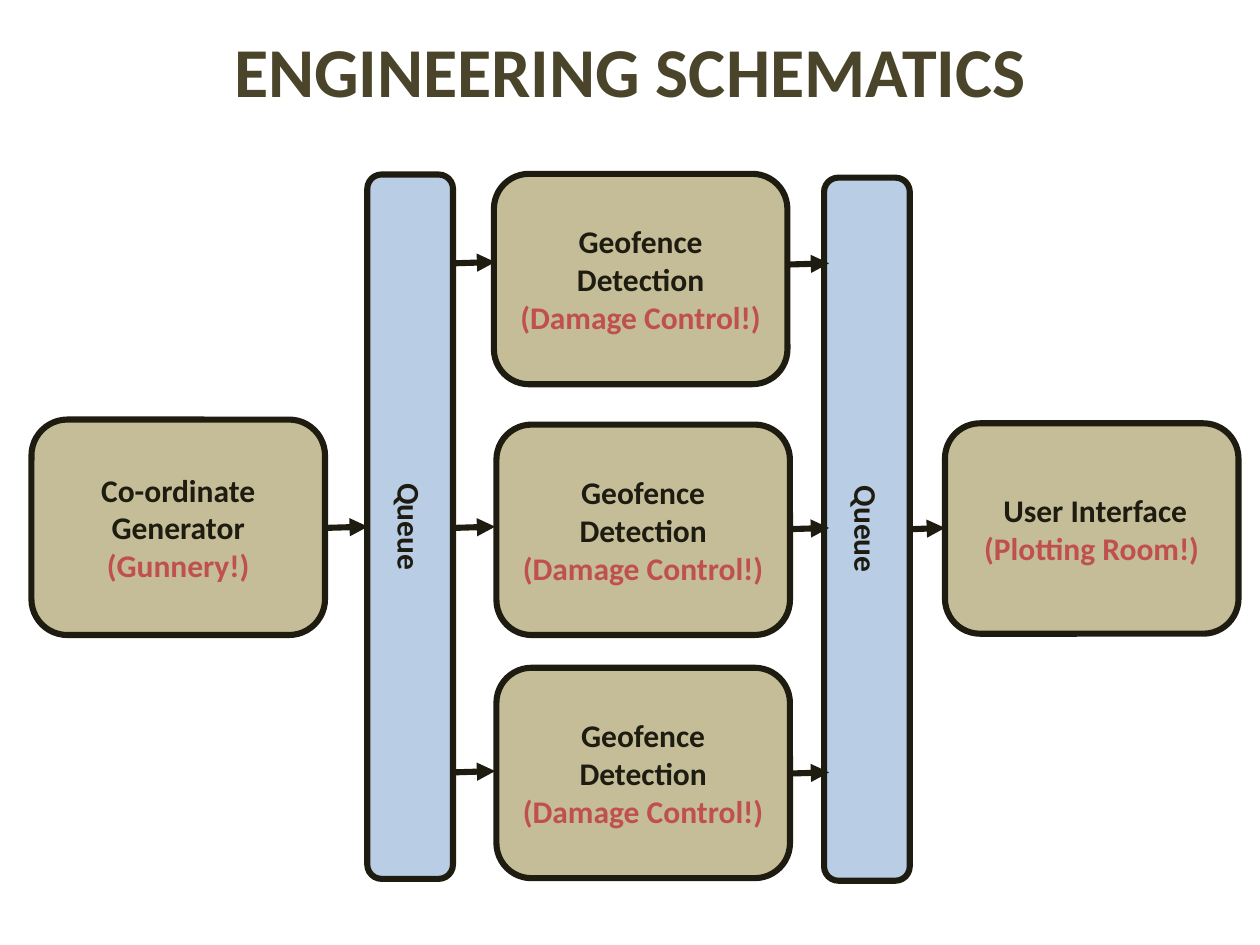
from pptx import Presentation
from pptx.dml.color import RGBColor
from pptx.enum.shapes import MSO_CONNECTOR, MSO_SHAPE
from pptx.enum.text import MSO_ANCHOR, PP_ALIGN
from pptx.oxml.ns import qn
from pptx.util import Inches, Pt
from lxml.etree import SubElement

INK, TITLE, RED = "1E1C11", "4A452A", "C0504D"
TAN, BLUE = "C4BD97", "B9CDE5"
BOX_W, BOX_H, BAR_W = 2.33, 1.67, 0.68


def rgb(value):
    return RGBColor.from_string(value)


class Schematic:
    """Draws boxes, bars and arrows in one style on one slide."""

    def __init__(self, s):
        self.s = s

    def label(self, tf, lines, size):
        tf.word_wrap = True
        tf.vertical_anchor = MSO_ANCHOR.MIDDLE
        for i, (text, color) in enumerate(lines):
            p = tf.add_paragraph() if i else tf.paragraphs[0]
            p.text = text
            p.alignment = PP_ALIGN.CENTER
            p.font.name = "Calibri"
            p.font.size = Pt(size)
            p.font.bold = True
            p.font.color.rgb = rgb(color)

    def title(self, text, x, y, w, h):
        box = self.s.shapes.add_textbox(Inches(x), Inches(y), Inches(w), Inches(h))
        self.label(box.text_frame, [(text, TITLE)], 40)

    def rounded(self, x, y, w, h, fill, lines):
        sp = self.s.shapes.add_shape(
            MSO_SHAPE.ROUNDED_RECTANGLE, Inches(x), Inches(y), Inches(w), Inches(h))
        sp.shadow.inherit = False
        sp.fill.solid()
        sp.fill.fore_color.rgb = rgb(fill)
        self.stroke(sp)
        self.label(sp.text_frame, lines, 18)
        return sp

    def stage(self, x, y, name, role, h=BOX_H):
        self.rounded(x, y, BOX_W, h, TAN, [(name, INK), (role, RED)])

    def bar(self, x, y, length, name):
        sp = self.rounded(x, y, length, BAR_W, BLUE, [(name, INK)])
        sp.rotation = 90

    def arrow(self, x1, x2, y):
        line = self.s.shapes.add_connector(
            MSO_CONNECTOR.STRAIGHT, Inches(x1), Inches(y), Inches(x2), Inches(y - 0.01))
        self.stroke(line)
        props = line._element.spPr
        SubElement(props.get_or_add_ln(), qn("a:tailEnd"), type="triangle")
        SubElement(props, qn("a:effectLst"))

    def stroke(self, shape):
        shape.line.color.rgb = rgb(INK)
        shape.line.width = Pt(3.5)


def main():
    prs = Presentation()
    prs.slide_width, prs.slide_height = Inches(10), Inches(7.5)
    d = Schematic(prs.slides.add_slide(prs.slide_layouts[6]))

    d.title("ENGINEERING SCHEMATICS", 0, -0.25, 10, 1.61)
    d.stage(0.25, 3.33, "Co-ordinate Generator", "(Gunnery!)", 1.71)
    for x, y in ((3.94, 3.37), (3.94, 5.3), (3.92, 1.38)):
        d.stage(x, y, "Geofence Detection", "(Damage Control!)")
    d.stage(7.5, 3.36, " User Interface", "(Plotting Room!)")
    for x, y, length in ((0.46, 3.84, 5.59), (4.09, 3.86, 5.58)):
        d.bar(x, y, length, "Queue")

    d.arrow(2.58, 2.92, 4.19)
    d.arrow(7.23, 7.5, 4.2)
    for y in (2.09, 4.19, 6.13):
        d.arrow(3.6, 3.93, y)
        d.arrow(6.25, 6.58, y + 0.01)

    prs.save("out.pptx")


if __name__ == "__main__":
    main()
